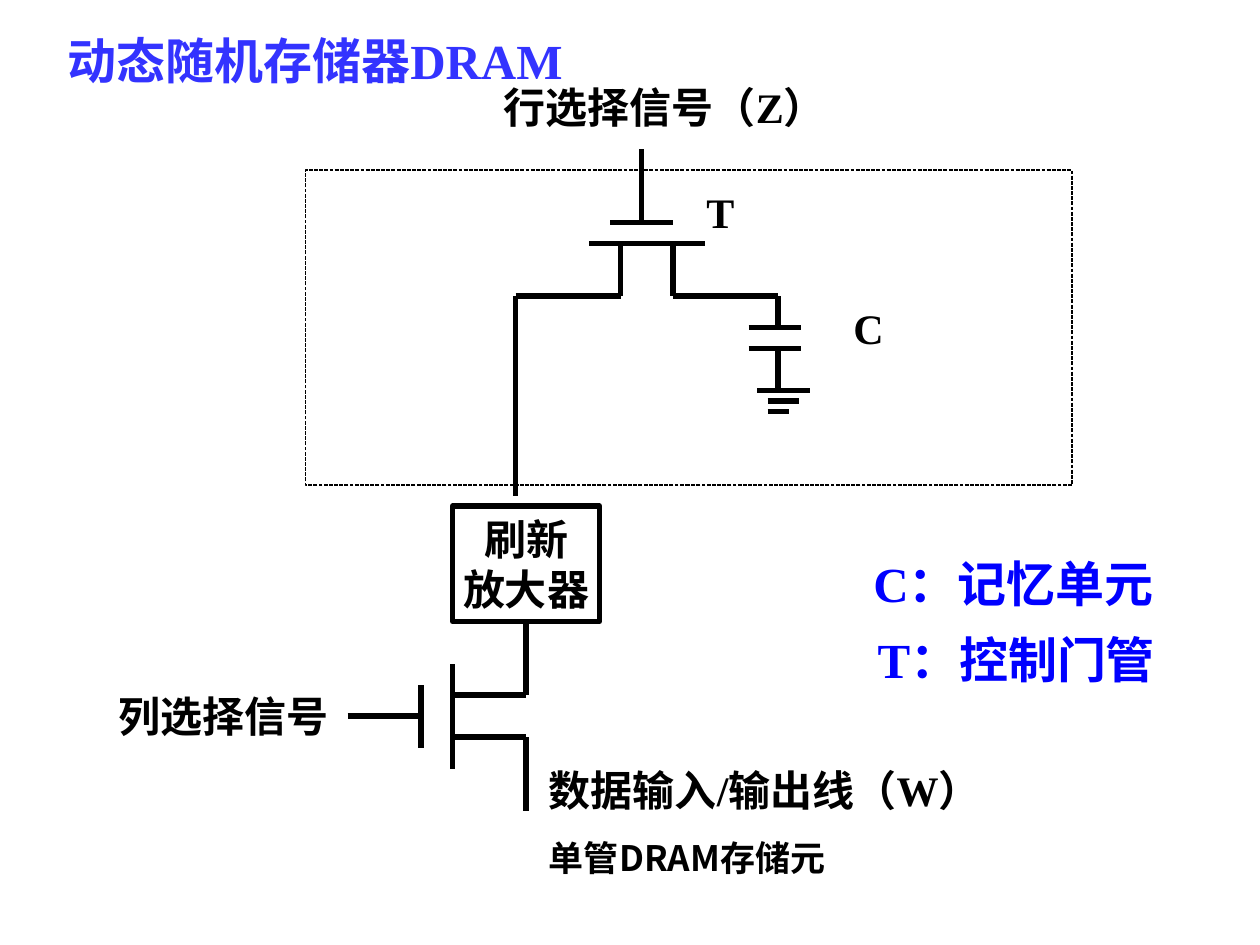
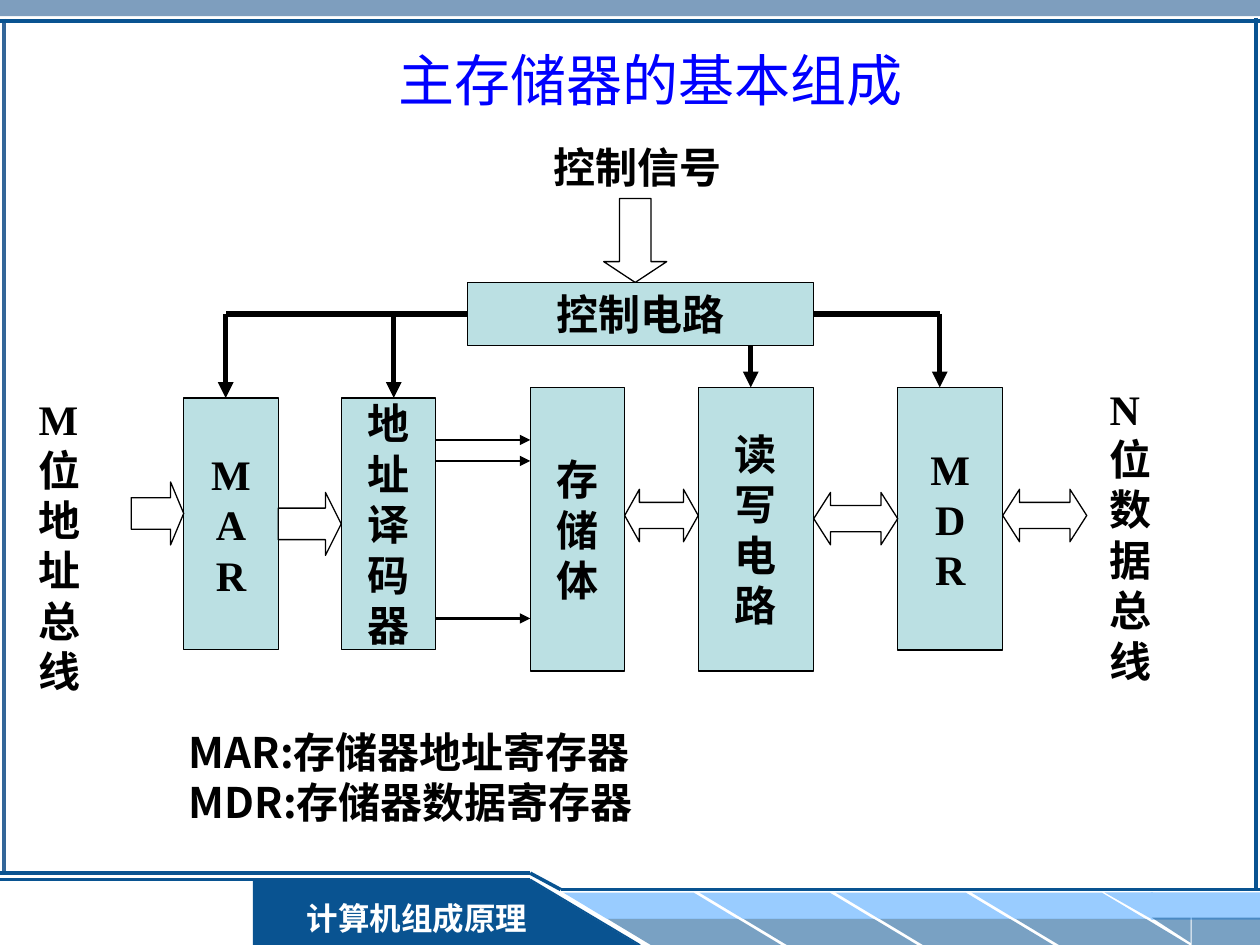
from lxml import etree
from pptx import Presentation
from pptx import util as u
from pptx.dml.color import RGBColor
from pptx.enum import dml, lang, shapes, text
from pptx.oxml.ns import qn

BLACK = RGBColor(0x00, 0x00, 0x00)
WHITE = RGBColor(0xFF, 0xFF, 0xFF)
BLUE = RGBColor(0x00, 0x00, 0xFF)
TITLE_BLUE = RGBColor(0x33, 0x33, 0xFF)
STEEL = RGBColor(0x33, 0x66, 0x99)
NAVY = RGBColor(0x09, 0x53, 0x91)
SKY = RGBColor(0x99, 0xCC, 0xFF)
TEAL = RGBColor(0xBB, 0xE0, 0xE3)
SERIF, SANS, ARIAL = "Times New Roman", "Noto Sans CJK SC", "Arial"

KIND = shapes.MSO_SHAPE
LEFT, CENTER = text.PP_ALIGN.LEFT, text.PP_ALIGN.CENTER
TOP, MIDDLE = text.MSO_ANCHOR.TOP, text.MSO_ANCHOR.MIDDLE
THIN, THICK = 0.75, 3

presentation = Presentation()
presentation.slide_width, presentation.slide_height = u.Inches(10), u.Inches(7.5)
COLUMN = presentation.slide_width / 120
ROW = presentation.slide_height / 90
TITLE_ONLY = presentation.slide_layouts[5]
origin = (0, 0)  # where a drawing's grid starts, in columns and rows


def add_box(slide, box, kind=None, content="", fill=None, alpha=None, border=None, flip="",
            adjust=(), size=24, font=SERIF, color=BLACK, bold=True, align=LEFT,
            anchor=TOP, wrap=True):
    """Put a preset shape, a text box (no kind) or the title on the grid."""
    left, top = round((box[0] + origin[0]) * COLUMN), round((box[1] + origin[1]) * ROW)
    width, height = round(box[2] * COLUMN), round(box[3] * ROW)
    if kind == "title":
        shape = slide.shapes.title
        shape.left, shape.top, shape.width, shape.height = left, top, width, height
    elif kind is None:
        shape = slide.shapes.add_textbox(left, top, width, height)
    else:
        shape = slide.shapes.add_shape(kind, left, top, width, height)
        shape.shadow.inherit = False
        for index, value in enumerate(adjust):
            shape.adjustments[index] = value
        for axis in flip:
            shape.element.spPr.find(qn("a:xfrm")).set("flip" + axis, "1")
        if fill is None:
            shape.fill.background()
        else:
            shape.fill.solid()
            shape.fill.fore_color.rgb = fill
        if alpha:
            solid_color = shape.element.spPr.find(qn("a:solidFill"))[0]
            etree.SubElement(solid_color, qn("a:alpha"), val=str(alpha * 1000))
        if border:
            shape.line.color.rgb = BLACK
            shape.line.width = u.Pt(border)
        else:
            shape.line.fill.background()
    if content:
        frame = shape.text_frame
        frame.text = content
        frame.auto_size = text.MSO_AUTO_SIZE.NONE
        frame.word_wrap, frame.vertical_anchor = wrap, anchor
        for paragraph in frame.paragraphs:
            paragraph.alignment = align
            paragraph.font.name, paragraph.font.size = font, u.Pt(size)
            paragraph.font.bold, paragraph.font.color.rgb = bold, color
            paragraph.font.language_id = lang.MSO_LANGUAGE_ID.SIMPLIFIED_CHINESE
    return shape


def add_line(slide, ends, color=BLACK, width=THICK, arrow=False, start=None):
    """Draw a straight line on the grid; start is a (shape, side) to join."""
    dx, dy = origin
    x1, y1, x2, y2 = ends
    line = slide.shapes.add_connector(
        shapes.MSO_CONNECTOR.STRAIGHT,
        round((x1 + dx) * COLUMN), round((y1 + dy) * ROW),
        round((x2 + dx) * COLUMN), round((y2 + dy) * ROW))
    line.line.color.rgb = color
    line.line.width = u.Pt(width)
    if arrow:
        etree.SubElement(line.line._get_or_add_ln(), qn("a:tailEnd"), type="triangle")
    etree.SubElement(line.element.spPr, qn("a:effectLst"))
    if start:
        line.begin_connect(*start)


# Slide 1: one-transistor DRAM cell
slide = presentation.slides.add_slide(TITLE_ONLY)
origin = (0.1, 0.2)
add_box(slide, (4.1, 2.3, 75, 6.4), "title", " 动态随机存储器DRAM", size=28,
        color=TITLE_BLUE, anchor=MIDDLE)
cell = add_box(slide, (29, 16, 73, 30), KIND.RECTANGLE, border=THIN)
cell.line.dash_style = dml.MSO_LINE.SQUARE_DOT
amplifier = add_box(slide, (43, 48, 14, 11), KIND.RECTANGLE, "刷新\n放大器", border=THICK,
                    align=CENTER, anchor=MIDDLE, wrap=False)

wires = [
    # Row select and transistor T
    (61, 21, 61, 14), (58, 21, 64, 21), (56, 23, 67, 23),
    (59, 23, 59, 28), (64, 23, 64, 28),
    # Capacitor C and ground
    (64, 28, 74, 28), (74, 28, 74, 31), (71.2, 31, 76.2, 31), (71.2, 33, 76.2, 33),
    (74, 33, 74, 37), (72, 37, 77, 37), (73, 38, 76, 38), (73, 39, 75, 39),
    # Bit line
    (49, 28, 59, 28), (49, 28, 49, 47),
    # Column select transistor and data line
    (33, 68, 40, 68), (40, 71, 40, 65), (43, 73, 43, 63),
    (43, 66, 50, 66), (43, 70, 50, 70), (50, 70, 50, 77),
]
for wire in wires:
    add_line(slide, wire)
add_line(slide, (50, 59, 50, 66), start=(amplifier, 2))

for label, box in [
    ("行选择信号（Z）", (46.7, 7, 40.2, 6)),
    ("列选择信号", (10, 65, 28, 6)),
    ("数据输入/输出线（W）", (51, 72, 51.4, 6)),
    ("T", (66, 17, 7, 6)),
    ("C", (80, 28, 10, 6)),
]:
    add_box(slide, box, content=label)
add_box(slide, (51, 78.9, 30.8, 5.3), content="单管DRAM存储元", size=20, font=SANS, wrap=False)
add_box(slide, (81.9, 51.9, 38, 6.8), content="C：记忆单元", size=28, color=BLUE)
add_box(slide, (82.3, 59.2, 34, 6.8), content="T：控制门管", size=28, color=BLUE)

# Slide 2: frame and footer band
slide = presentation.slides.add_slide(TITLE_ONLY)
origin = (0, 0)
add_box(slide, (0, 0, 120, 1.55), KIND.RECTANGLE, fill=STEEL, alpha=63)
add_line(slide, (0.36, 1.8, 0.36, 83.16), STEEL, 2)
add_box(slide, (24.1, 83.76, 26.4, 6.24), KIND.RECTANGLE, fill=NAVY)
add_line(slide, (60.96, 90, 50.5, 83.76), NAVY, 1)
add_line(slide, (50.5, 83.76, 0, 83.76), NAVY, 1.5)
for tile in range(4):
    tile_left = 53.64 + 12.96 * tile
    add_box(slide, (tile_left, 85, 16.56, 2.5), KIND.PARALLELOGRAM, fill=SKY,
            flip="H", adjust=[1.66])
    add_box(slide, (tile_left + 4.2, 87.5, 16.56, 2.5), KIND.PARALLELOGRAM, fill=NAVY,
            alpha=54, flip="H", adjust=[1.66])
add_box(slide, (109.6, 85, 10.4, 2.6), KIND.RECTANGLE, fill=SKY)
add_box(slide, (105.2, 85, 4.6, 2.6), KIND.RIGHT_TRIANGLE, fill=SKY, flip="HV")
add_box(slide, (113.5, 87.4, 6.5, 2.6), KIND.RECTANGLE, fill=NAVY, alpha=54)
add_box(slide, (109.7, 87.4, 3.7, 2.4), KIND.RIGHT_TRIANGLE, fill=NAVY, alpha=54, flip="HV")
add_box(slide, (27.4, 85, 24.6, 4.8), KIND.RECTANGLE, "计算机组成原理", fill=NAVY,
        size=18, color=WHITE, align=CENTER)
add_box(slide, (50.4, 83.76, 10.44, 6.24), KIND.RIGHT_TRIANGLE, fill=NAVY)
for edge in [
    (0, 83.16, 50.5, 83.16), (50.5, 83.16, 53.4, 84.72), (53.4, 84.72, 120, 84.72),
    (0, 2, 120, 2), (119.64, 1.7, 119.64, 84.8),
]:
    add_line(slide, edge, NAVY, 2)

# Slide 2: title and blocks of the main memory
origin = (-0.5, -0.1)
add_box(slide, (4.5, 0.1, 116, 15), "title", "主存储器的基本组成", size=32, font=ARIAL,
        color=BLUE, bold=False, align=CENTER, anchor=MIDDLE)
for name, box in [
    ("MAR", (18, 38, 9, 24)),
    ("地址译码器", (33, 38, 9, 24)),
    ("存储体", (51, 37, 9, 27)),
    ("读写电路", (67, 37, 11, 27)),
    ("MDR", (86, 37, 10, 25)),
]:
    add_box(slide, box, KIND.RECTANGLE, "\n".join(name), fill=TEAL, border=THIN,
            align=CENTER, anchor=MIDDLE, wrap=False)
control = add_box(slide, (45, 27, 33, 6), KIND.RECTANGLE, "控制电路", fill=TEAL, border=THIN,
                  align=CENTER, anchor=MIDDLE, wrap=False)

# Buses
for kind, box, head in [
    (KIND.RIGHT_ARROW, (13, 46, 5, 6), 0.25),
    (KIND.RIGHT_ARROW, (27, 47, 6, 6), 0.25),
    (KIND.LEFT_RIGHT_ARROW, (60, 46.7, 7, 5), 0.28),
    (KIND.LEFT_RIGHT_ARROW, (78, 47, 8, 5), 0.32),
    (KIND.LEFT_RIGHT_ARROW, (96, 46.7, 8, 5), 0.32),
    (KIND.DOWN_ARROW, (58, 19, 6, 8), 0.33),
]:
    add_box(slide, box, kind, border=THIN, adjust=[0.5, head])

# Select lines from the decoder to the memory array
for row, width in [(42, THIN), (44, THIN), (59, 1.5)]:
    add_line(slide, (42, row, 51, row), width=width, arrow=True)

# Control lines
add_line(slide, (45, 30, 22, 30), start=(control, 1))
add_line(slide, (78, 30, 90, 30), start=(control, 3))
for column, top, bottom in [(22, 30, 38), (38, 30, 38), (72, 33, 37), (90, 30, 37)]:
    add_line(slide, (column, top, column, bottom), arrow=True)

# Labels
add_box(slide, (52, 13, 27, 6), content="控制信号")
add_box(slide, (3, 37, 7, 30), content="M位地址总线")
add_box(slide, (105, 36, 6, 34.8), content="N位数据总线")
add_box(slide, (17.3, 68.7, 45.8, 10.8), content="MAR:存储器地址寄存器\nMDR:存储器数据寄存器",
        font=SANS, anchor=MIDDLE, wrap=False)

presentation.save("out.pptx")
